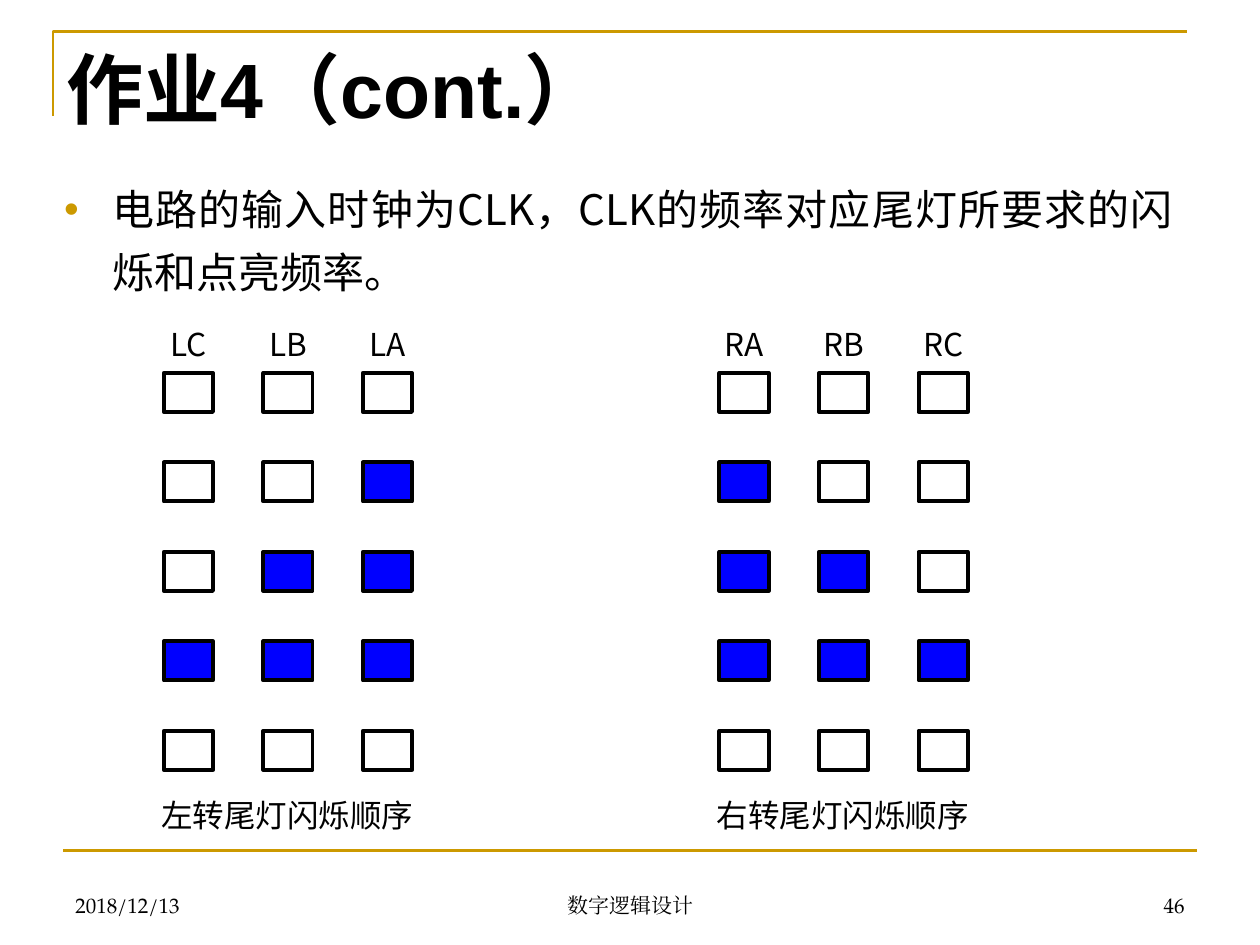
from lxml import etree
from pptx import Presentation
from pptx.dml.color import RGBColor
from pptx.enum.shapes import MSO_CONNECTOR as CONN, MSO_SHAPE as SHAPE
from pptx.enum.text import MSO_ANCHOR as ANCHOR, MSO_AUTO_SIZE as AUTO, PP_ALIGN as ALIGN
from pptx.oxml.ns import qn
from pptx.util import Inches, Pt

COLORS = {"text": "000000", "gold": "CC9900", "lamp": "0000FF", "paper": "FFFFFF"}
SANS, SERIF, HEAD = "Noto Sans CJK SC", "TeX Gyre Pagella", "Arial"


def rgb(name):
    return RGBColor.from_string(COLORS[name])


def place(sp, x, y, w, h):
    sp.left, sp.top, sp.width, sp.height = (Inches(v) for v in (x, y, w, h))


def write(sp, text, size=18, font=SANS, bold=False, align=ALIGN.CENTER, anchor=ANCHOR.TOP):
    tf = sp.text_frame
    tf.word_wrap = True
    tf.auto_size = AUTO.NONE
    tf.vertical_anchor = anchor
    p = tf.paragraphs[0]
    p.alignment = align
    r = p.add_run()
    r.text = text
    r.font.size, r.font.bold, r.font.name = Pt(size), bold, font
    r.font.color.rgb = rgb("text")
    ea = etree.SubElement(r.font._element, qn("a:ea"))
    ea.set("typeface", SANS if font == HEAD else font)
    return p


def label(s, text, x, y, w, h, **fmt):
    return write(s.shapes.add_textbox(Inches(x), Inches(y), Inches(w), Inches(h)), text, **fmt)


def add_frame(s, x, y, w, h):
    builder = s.shapes.build_freeform(Inches(x), Inches(y + h))
    builder.add_line_segments([(Inches(x), Inches(y)), (Inches(x + w), Inches(y))], close=False)
    sp = builder.convert_to_shape()
    sp.shadow.inherit = False
    sp.fill.background()
    sp.line.color.rgb, sp.line.width = rgb("gold"), Pt(1.5)


def add_footer(s, x, y, w):
    rule = s.shapes.add_connector(CONN.STRAIGHT, Inches(x), Inches(y), Inches(x + w), Inches(y))
    rule.line.color.rgb, rule.line.width = rgb("gold"), Pt(1.5)
    etree.SubElement(rule._element.spPr, qn("a:effectLst"))
    for text, dx, width, align in (
        ("2018/12/13", 0, 2.33, ALIGN.LEFT),
        ("数字逻辑设计", 2.92, 3.17, ALIGN.CENTER),
        ("46", 6.67, 2.33, ALIGN.RIGHT),
    ):
        label(s, text, x + dx, y + 0.08, width, 0.5, size=12, font=SERIF,
              align=align, anchor=ANCHOR.BOTTOM)


def add_title(s, text, *box):
    title = s.shapes.title
    place(title, *box)
    title.fill.solid()
    title.fill.fore_color.rgb = rgb("paper")
    write(title, text, size=44, font=HEAD, bold=True, align=ALIGN.LEFT, anchor=ANCHOR.MIDDLE)


def add_body(s, text, *box):
    body = s.placeholders[1]
    place(body, *box)
    p = write(body, text, size=24, align=ALIGN.JUSTIFY)
    p.line_spacing, p.space_before = Pt(36), Pt(18)
    pPr = p._p.get_or_add_pPr()
    pPr.set("marL", str(Inches(0.38)))
    pPr.set("indent", str(-Inches(0.38)))
    clr = etree.SubElement(pPr, qn("a:buClr"))
    etree.SubElement(clr, qn("a:srgbClr")).set("val", COLORS["gold"])
    etree.SubElement(pPr, qn("a:buFont")).set("typeface", "Arial")
    etree.SubElement(pPr, qn("a:buChar")).set("char", "•")


def add_lamps(s, x, y, names, steps, caption):
    lamp_w, lamp_h, col_gap, row_gap = 0.39, 0.31, 0.79, 0.71
    for col, name in enumerate(names):
        left = x + col * col_gap
        label(s, name, left - 0.08, y - 0.43, 0.55, 0.4)
        for row, lit in enumerate(steps):
            lamp = s.shapes.add_shape(SHAPE.RECTANGLE, Inches(left), Inches(y + row * row_gap),
                                      Inches(lamp_w), Inches(lamp_h))
            lamp.shadow.inherit = False
            lamp.line.color.rgb, lamp.line.width = rgb("text"), Pt(2.25)
            if name in lit:
                lamp.fill.solid()
                lamp.fill.fore_color.rgb = rgb("lamp")
            else:
                lamp.fill.background()
    label(s, caption, x - 0.2, y + 3.31, 2.36, 0.4)


def lighting(order):
    return [order[:n] for n in (0, 1, 2, 3, 0)]


prs = Presentation()
prs.slide_width, prs.slide_height = Inches(10), Inches(7.5)
s = prs.slides.add_slide(prs.slide_layouts[1])
add_frame(s, 0.42, 0.25, 9, 0.67)
add_footer(s, 0.5, 6.75, 9)
add_title(s, "作业4（cont.）", 0.43, 0.28, 9.65, 0.83)
add_body(s, "电路的输入时钟为CLK，CLK的频率对应尾灯所要求的闪烁和点亮频率。", 0.41, 1.31, 9, 1.81)
left, right = ["LA", "LB", "LC"], ["RA", "RB", "RC"]
add_lamps(s, 1.3, 2.96, left[::-1], lighting(left), "左转尾灯闪烁顺序")
add_lamps(s, 5.71, 2.96, right, lighting(right), "右转尾灯闪烁顺序")
prs.save("out.pptx")
